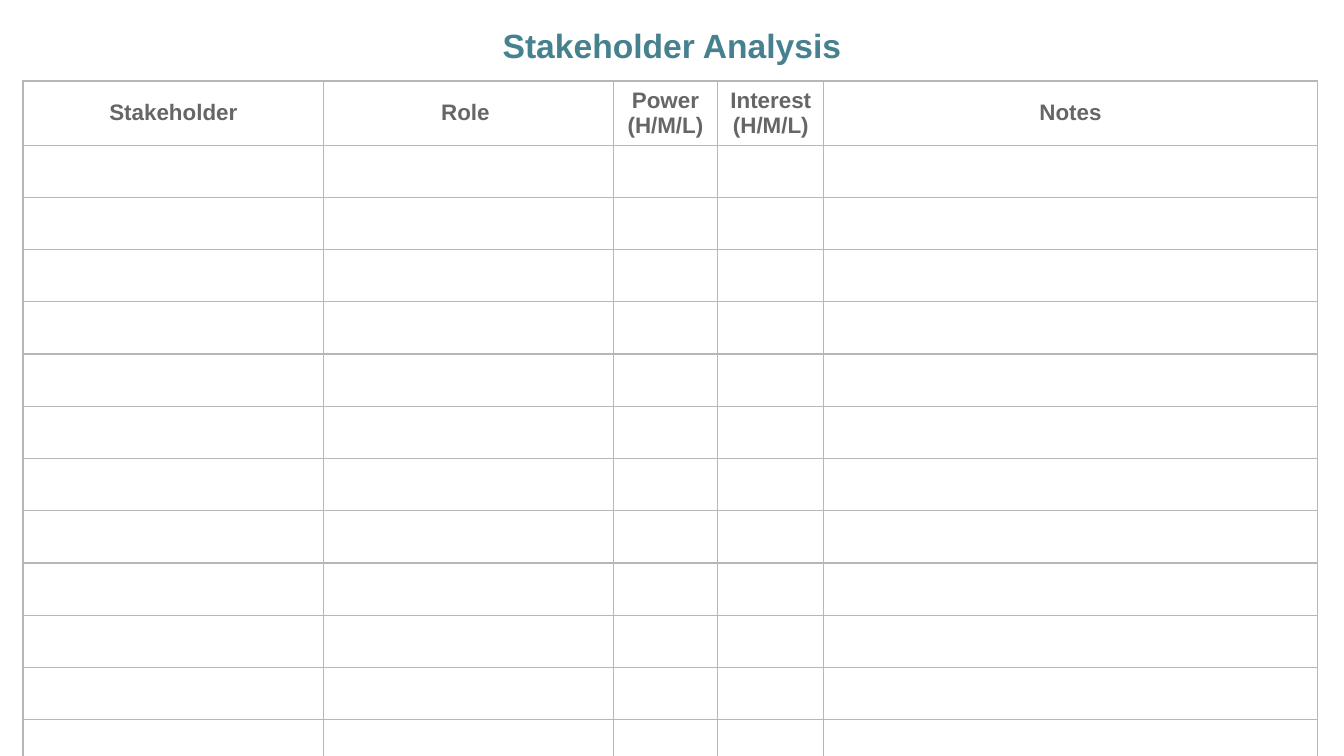
from dataclasses import dataclass

from lxml import etree
from pptx import Presentation
from pptx.dml.color import RGBColor
from pptx.enum.text import MSO_ANCHOR, MSO_AUTO_SIZE, PP_ALIGN
from pptx.oxml.ns import qn
from pptx.util import Pt

TOP = MSO_ANCHOR.TOP
MIDDLE = MSO_ANCHOR.MIDDLE
CENTER = PP_ALIGN.CENTER
FIXED = MSO_AUTO_SIZE.NONE


@dataclass(frozen=True)
class Theme:
    font: str = "Arial"
    teal: str = "45818E"
    gray: str = "666666"
    rule: str = "B7B7B7"
    title: float = 18
    head: float = 12
    blank: float = 14
    line: float = 0.75


THEME = Theme()
HEADS = ["Stakeholder", "Role ", "Power (H/M/L)", "Interest (H/M/L)", "Notes"]
WIDTHS = [161.2, 155, 56.1, 56.8, 264.3]
HEAD_ROW = 34.4
BLANK_ROW = 28
BLANKS = 12


def apply(item, values):
    for name, value in values.items():
        setattr(item, name, value)


def style(para, size, color):
    para.alignment = CENTER
    apply(para.font, {"name": THEME.font, "size": Pt(size), "bold": True})
    para.font.color.rgb = RGBColor.from_string(color)
    for run in para.runs:
        apply(run.font, {"name": THEME.font, "size": Pt(size), "bold": True})
        run.font.color.rgb = RGBColor.from_string(color)


def border(cell):
    props = cell._tc.get_or_add_tcPr()
    for index, side in enumerate(("lnL", "lnR", "lnT", "lnB")):
        line = etree.Element(qn(f"a:{side}"), w=str(Pt(THEME.line)))
        fill = etree.SubElement(line, qn("a:solidFill"))
        etree.SubElement(fill, qn("a:srgbClr"), val=THEME.rule)
        props.insert(index, line)


def add_title(slide, left, top, width, height):
    title = slide.shapes.title
    apply(title, {"left": Pt(left), "top": Pt(top),
                  "width": Pt(width), "height": Pt(height)})
    frame = title.text_frame
    frame.text = "Stakeholder Analysis"
    inset = Pt(7.2)
    apply(frame, {"word_wrap": True, "auto_size": FIXED,
                  "vertical_anchor": TOP,
                  "margin_left": inset, "margin_right": inset,
                  "margin_top": inset, "margin_bottom": inset})
    para = frame.paragraphs[0]
    para.line_spacing = 1.15
    style(para, THEME.title, THEME.teal)


def add_grid(slide, left, top):
    heights = [HEAD_ROW] + [BLANK_ROW] * BLANKS
    frame = slide.shapes.add_table(
        len(heights), len(WIDTHS), Pt(left), Pt(top),
        Pt(sum(WIDTHS)), Pt(sum(heights)))
    table = frame.table
    apply(table, {"first_row": False, "horz_banding": False})
    for column, width in zip(table.columns, WIDTHS):
        column.width = Pt(width)
    for row, height in zip(table.rows, heights):
        row.height = Pt(height)
    for cell in table.iter_cells():
        apply(cell, {"vertical_anchor": MIDDLE,
                     "margin_left": Pt(5), "margin_right": Pt(5),
                     "margin_top": Pt(3.6), "margin_bottom": Pt(3.6)})
        cell.fill.background()
        border(cell)
    for cell, label in zip(table.rows[0].cells, HEADS):
        cell.text = label
        style(cell.text_frame.paragraphs[0], THEME.head, THEME.gray)
    for cell in table.iter_cells():
        if not cell.text:
            para = cell.text_frame.paragraphs[0]
            etree.SubElement(para._p, qn("a:endParaRPr"),
                             sz=str(THEME.blank * 100))


def main():
    deck = Presentation()
    apply(deck, {"slide_width": Pt(720), "slide_height": Pt(405)})
    slide = deck.slides.add_slide(deck.slide_layouts[5])
    add_grid(slide, 12.3, 43.4)
    add_title(slide, 60, 3, 600, 36)
    deck.save("out.pptx")


main()
